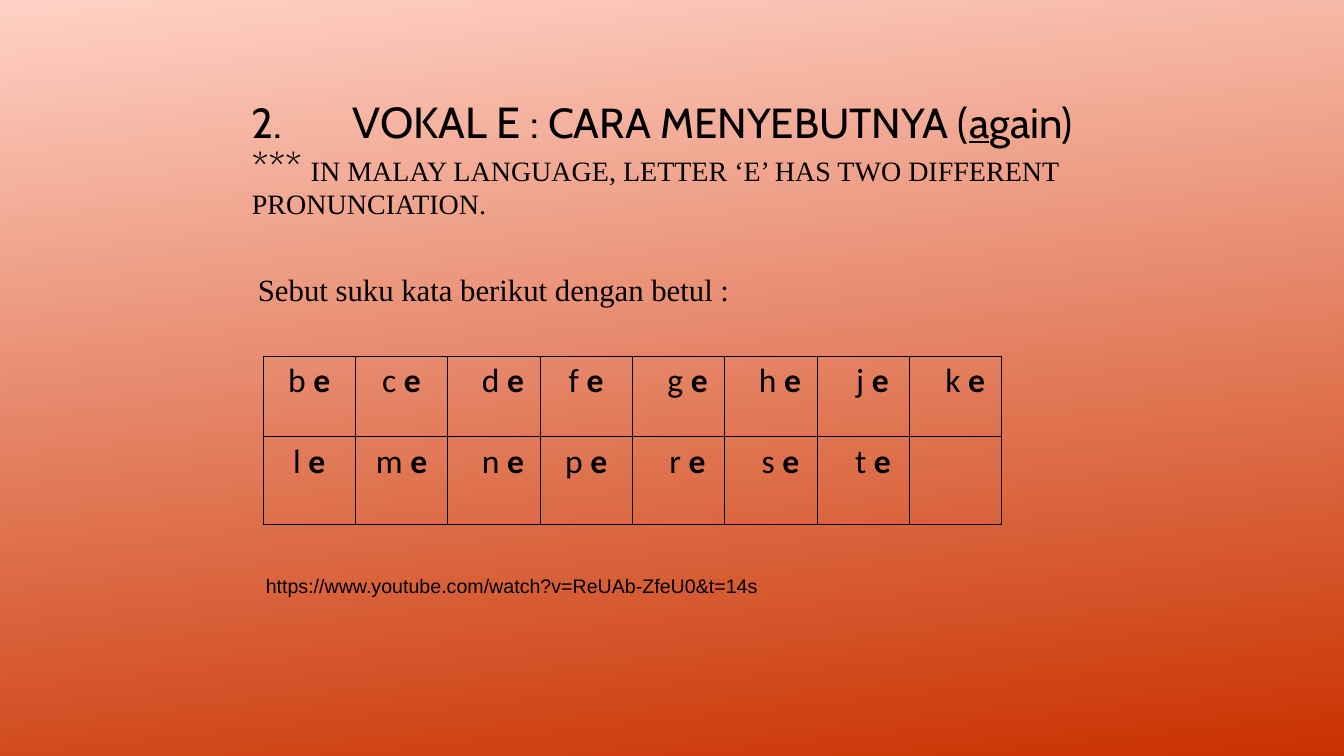
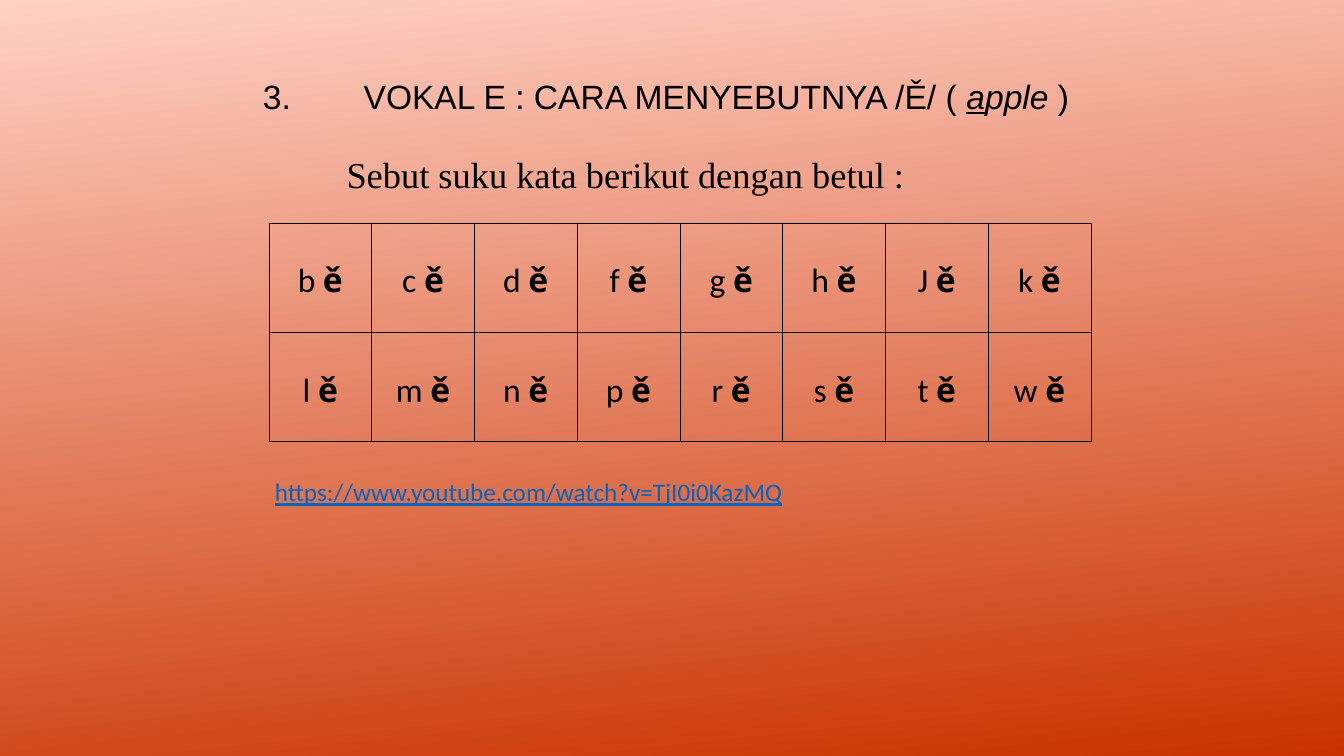
"""Builds two slides of Malay vowel drills with syllable tables."""
import dataclasses
import typing

import lxml.etree
import pptx
import pptx.dml.color
import pptx.enum.text
import pptx.oxml.ns
import pptx.slide
import pptx.table
import pptx.text.text
import pptx.util

COLORS = {"light": "FFD1C5", "dark": "C93200", "text": "000000", "link": "0563C1"}
SLIDE_WIDTH = pptx.util.Inches(13.34)
SLIDE_HEIGHT = pptx.util.Inches(7.5)
GRADIENT_ANGLE = 276
BORDER_WIDTH = pptx.util.Pt(0.45)
TITLE_TAB = pptx.util.Inches(1)
SERIF = "Times New Roman"
PROMPT = "Sebut suku kata berikut dengan betul :"
CENTER = pptx.enum.text.PP_ALIGN.CENTER
LEFT = pptx.enum.text.PP_ALIGN.LEFT


@dataclasses.dataclass(frozen=True)
class Area:
    """A rectangle in percent of the slide's width and height."""

    left: float
    top: float
    width: float
    height: float

    def lengths(self) -> tuple[int, int, int, int]:
        """Return left, top, width and height as slide lengths."""
        return (across(self.left), down(self.top), across(self.width), down(self.height))


@dataclasses.dataclass(frozen=True)
class Piece:
    """A run of text with its font format."""

    text: str
    size: float
    name: str
    color: str = "text"
    style: dict[str, bool] = dataclasses.field(default_factory=dict)


@dataclasses.dataclass(frozen=True)
class TextBox:
    """A one-paragraph text box with insets in points."""

    area: Area
    pieces: list[Piece]
    insets: tuple[float, float, float, float] = (7.2, 3.6, 7.2, 3.6)
    is_title: bool = False


@dataclasses.dataclass(frozen=True)
class SyllableTable:
    """Consonants by row, each followed by one bold vowel."""

    area: Area
    row_heights: tuple[float, ...]
    rows: tuple[str, ...]
    vowel: str
    vowel_font: str
    margin_top: float
    indents: tuple[tuple[float, ...], ...]


@dataclasses.dataclass(frozen=True)
class Lesson:
    """The contents of one slide."""

    boxes: list[TextBox]
    table: SyllableTable


def across(percent: float) -> int:
    """Return a share of the slide width."""
    return round(SLIDE_WIDTH * percent / 100)


def down(percent: float) -> int:
    """Return a share of the slide height."""
    return round(SLIDE_HEIGHT * percent / 100)


def rgb(color: str) -> pptx.dml.color.RGBColor:
    """Return a named colour."""
    return pptx.dml.color.RGBColor.from_string(COLORS[color])


def set_attributes(target: typing.Any, values: dict[str, typing.Any]) -> None:
    """Set every attribute named in a dict."""
    for name, value in values.items():
        setattr(target, name, value)


def add_pieces(paragraph: pptx.text.text._Paragraph, pieces: list[Piece]) -> None:
    """Add formatted runs, with a line break for each newline piece."""
    for piece in pieces:
        if piece.text == "\n":
            paragraph.add_line_break()
            continue
        run = paragraph.add_run()
        run.text = piece.text
        set_attributes(
            run.font,
            {"size": pptx.util.Pt(piece.size), "name": piece.name, "bold": False} | piece.style,
        )
        run.font.color.rgb = rgb(piece.color)


def add_tab_stop(paragraph: pptx.text.text._Paragraph, position: int) -> None:
    """Add one left tab stop to a paragraph."""
    qualify = pptx.oxml.ns.qn
    properties = paragraph._p.get_or_add_pPr()
    tabs = lxml.etree.SubElement(properties, qualify("a:tabLst"))
    lxml.etree.SubElement(tabs, qualify("a:tab"), pos=str(position), algn="l")


def add_text_box(slide: pptx.slide.Slide, box: TextBox) -> None:
    """Draw a text box, in title style when it is a title."""
    anchors = pptx.enum.text.MSO_ANCHOR
    frame = slide.shapes.add_textbox(*box.area.lengths()).text_frame
    sides = ("margin_left", "margin_top", "margin_right", "margin_bottom")
    set_attributes(frame, {side: pptx.util.Pt(inset) for side, inset in zip(sides, box.insets)})
    set_attributes(
        frame,
        {"word_wrap": True, "vertical_anchor": anchors.MIDDLE if box.is_title else anchors.TOP},
    )
    paragraph = frame.paragraphs[0]
    if box.is_title:
        add_tab_stop(paragraph, TITLE_TAB)
        paragraph.line_spacing = 0.9
    add_pieces(paragraph, box.pieces)


def add_borders(cell: pptx.table._Cell) -> None:
    """Draw a thin line on all four sides of a cell."""
    qualify = pptx.oxml.ns.qn
    properties = cell._tc.get_or_add_tcPr()
    for side in ("a:lnL", "a:lnR", "a:lnT", "a:lnB"):
        line = lxml.etree.SubElement(properties, qualify(side), w=str(BORDER_WIDTH))
        fill = lxml.etree.SubElement(line, qualify("a:solidFill"))
        lxml.etree.SubElement(fill, qualify("a:srgbClr"), val=COLORS["text"])


def add_syllable_table(slide: pptx.slide.Slide, drill: SyllableTable) -> None:
    """Draw a table with one syllable in each cell."""
    column_count = len(drill.indents[0])
    shape = slide.shapes.add_table(len(drill.rows), column_count, *drill.area.lengths())
    table = shape.table
    set_attributes(table, {"first_row": False, "horz_banding": False})
    for row, height in zip(table.rows, drill.row_heights):
        row.height = down(height)
    for row_index, consonants in enumerate(drill.rows):
        for column_index, indent in enumerate(drill.indents[row_index]):
            cell = table.cell(row_index, column_index)
            add_borders(cell)
            cell.fill.background()
            cell.margin_top = pptx.util.Pt(drill.margin_top)
            cell.margin_left = pptx.util.Pt(7.2 + indent)
            if column_index >= len(consonants):
                continue
            paragraph = cell.text_frame.paragraphs[0]
            paragraph.alignment = LEFT if indent else CENTER
            add_pieces(
                paragraph,
                [
                    Piece(f"{consonants[column_index]} ", 24, "Calibri"),
                    Piece(drill.vowel, 24, drill.vowel_font, style={"bold": True}),
                ],
            )


def add_lesson(presentation: typing.Any, lesson: Lesson) -> None:
    """Add a slide with the shared gradient background."""
    slide = presentation.slides.add_slide(presentation.slide_layouts[6])
    fill = slide.background.fill
    fill.gradient()
    fill.gradient_angle = GRADIENT_ANGLE
    for stop, color in zip(fill.gradient_stops, ("light", "dark")):
        stop.color.rgb = rgb(color)
    for box in lesson.boxes:
        add_text_box(slide, box)
    add_syllable_table(slide, lesson.table)


TITLE_INSETS = (7.9, 0.7, 7.2, 3.6)
PROMPT_INSETS = (0.7, 0.7, 0, 0)
UNDERLINED = {"underline": True}
ITALIC = {"italic": True}

LESSONS = [
    Lesson(
        boxes=[
            TextBox(
                Area(17.92, 12.27, 67.77, 18.4),
                [
                    Piece("2.\t", 30, "Cabin"),
                    Piece("VOKAL E ", 31, "Cabin"),
                    Piece(": CARA MENYEBUTNYA (", 30, "Cabin"),
                    Piece("a", 30, "Cabin", style=UNDERLINED),
                    Piece("gain)", 30, "Cabin"),
                    Piece("\n", 30, "Cabin"),
                    Piece("*** ", 28, "Cabin"),
                    Piece(
                        "IN MALAY LANGUAGE, LETTER ‘E’ HAS TWO DIFFERENT PRONUNCIATION.",
                        20,
                        SERIF,
                    ),
                ],
                TITLE_INSETS,
                is_title=True,
            ),
            TextBox(Area(19.12, 35.73, 35.31, 5.07), [Piece(PROMPT, 22, SERIF)], PROMPT_INSETS),
            TextBox(
                Area(19.04, 75.2, 50, 4.53),
                [Piece("https://www.youtube.com/watch?v=ReUAb-ZfeU0&t=14s", 14, "Arial")],
            ),
        ],
        table=SyllableTable(
            Area(19.57, 47.07, 54.95, 22.27),
            row_heights=(10.67, 11.6),
            rows=("bcdfghjk", "lmnprst"),
            vowel="e",
            vowel_font="Calibri",
            margin_top=3.6,
            indents=((0, 0, 17.3, 0, 18, 17.3, 20.9, 18.7), (0, 0, 17.3, 0, 19.4, 19.4, 20.2, 0)),
        ),
    ),
    Lesson(
        boxes=[
            TextBox(
                Area(18.74, 9.73, 65.59, 7.07),
                [
                    Piece("3.\tVOKAL E : CARA MENYEBUTNYA /Ě/ ( ", 24, "Arial"),
                    Piece("a", 24, "Arial", style=ITALIC | UNDERLINED),
                    Piece("pple ", 24, "Arial", style=ITALIC),
                    Piece(")", 24, "Arial"),
                ],
                TITLE_INSETS,
                is_title=True,
            ),
            TextBox(Area(25.71, 20, 43.18, 6), [Piece(PROMPT, 26, SERIF)], PROMPT_INSETS),
            TextBox(
                Area(19.72, 62.4, 43.18, 5.6),
                [
                    Piece(
                        "https://www.youtube.com/watch?v=TjI0i0KazMQ",
                        18,
                        "Calibri",
                        "link",
                        UNDERLINED,
                    )
                ],
            ),
        ],
        table=SyllableTable(
            Area(20.01, 29.47, 61.17, 28.94),
            row_heights=(14.47, 14.47),
            rows=("bcdfghJk", "lmnprstw"),
            vowel="ě",
            vowel_font="Cabin",
            margin_top=27,
            indents=((0,) * 8,) * 2,
        ),
    ),
]


def main() -> None:
    """Build and save the presentation."""
    presentation = pptx.Presentation()
    set_attributes(presentation, {"slide_width": SLIDE_WIDTH, "slide_height": SLIDE_HEIGHT})
    for lesson in LESSONS:
        add_lesson(presentation, lesson)
    presentation.save("out.pptx")


if __name__ == "__main__":
    main()
